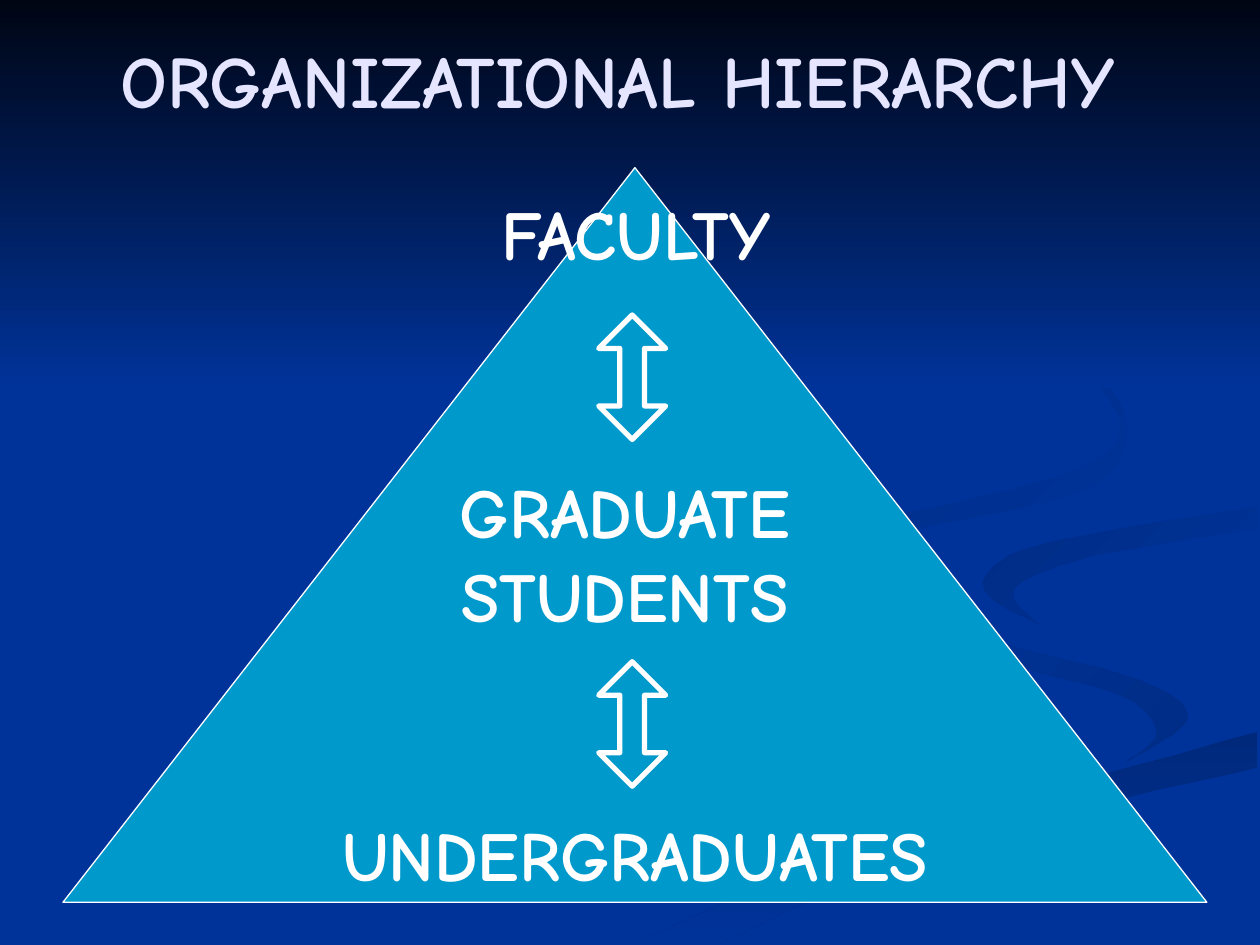
from dataclasses import dataclass

from pptx import Presentation
from pptx.dml.color import RGBColor
from pptx.enum.shapes import MSO_SHAPE
from pptx.enum.text import MSO_ANCHOR, MSO_AUTO_SIZE, PP_ALIGN
from pptx.util import Cm, Pt

Point = tuple[float, float]


@dataclass(frozen=True)
class Theme:
    font: str = "Comic Neue"
    back: str = "003399"
    night: str = "000514"
    shade: str = "002C85"
    deep: str = "00297C"
    cyan: str = "0099CC"
    white: str = "FFFFFF"
    lilac: str = "E5E5FF"
    head: int = 42
    body: int = 40


@dataclass(frozen=True)
class Ribbon:
    """Two curved edges in hundredths of an inch, and a gradient."""
    there: list[Point]
    back: list[Point]
    first: str
    last: str
    angle: int  # counter-clockwise


@dataclass(frozen=True)
class Level:
    text: str
    left: float
    top: float
    width: float
    height: float
    wrap: bool = False


THEME = Theme()
UNIT = Cm(2.54) / 100
STEPS = 6  # line segments between two curve points

RIBBONS = [
    Ribbon([(724, 464), (745, 490), (811, 515), (905, 540), (943, 570),
            (894, 605)],
           [(894, 605), (918, 581), (892, 553), (815, 530), (739, 494),
            (724, 464)],
           THEME.shade, THEME.back, 135),
    Ribbon([(503, 749), (630, 693), (764, 647), (998, 581)],
           [(998, 609), (821, 651), (695, 692), (571, 749)],
           THEME.deep, THEME.back, 270),
    Ribbon([(826, 496), (791, 478), (781, 460), (810, 437), (898, 418),
            (998, 402)],
           [(998, 420), (878, 439), (816, 459), (805, 476), (826, 496)],
           THEME.back, THEME.shade, 135),
    Ribbon([(762, 233), (864, 291), (894, 344), (855, 391), (683, 430),
            (594, 470), (622, 500)],
           [(622, 500), (577, 462), (625, 426), (763, 398), (861, 370),
            (889, 335), (846, 279), (762, 233)],
           THEME.back, THEME.shade, 135),
]

LEVELS = [
    Level("FACULTY", 9.73, 3.71, 6.17, 1.96),
    Level("GRADUATE STUDENTS", 8.05, 9.32, 9.09, 3.66, True),
    Level("UNDERGRADUATES", 6.58, 16.23, 12.45, 1.96),
]
ARROW_TOPS = (6.35, 13.34)


def rgb(code: str) -> RGBColor:
    return RGBColor.from_string(code)


def curve(knots: list[Point]) -> list[Point]:
    """Catmull-Rom curve through the knots."""
    ends = [knots[0], *knots, knots[-1]]
    line = [knots[0]]
    for a, b, c, d in zip(ends, ends[1:], ends[2:], ends[3:]):
        for step in range(1, STEPS + 1):
            t = step / STEPS
            line.append(tuple(
                q + t * (r - p) / 2
                + t ** 2 * (2 * p - 5 * q + 4 * r - s) / 2
                + t ** 3 * (3 * q - p - 3 * r + s) / 2
                for p, q, r, s in zip(a, b, c, d)))
    return line


def shade(shape, first: str, last: str, angle: int) -> None:
    shape.shadow.inherit = False
    shape.line.fill.background()
    shape.fill.gradient()
    shape.fill.gradient_angle = angle
    for stop, code in zip(shape.fill.gradient_stops, (first, last)):
        stop.color.rgb = rgb(code)


def draw_ribbon(shapes, ribbon: Ribbon) -> None:
    start, *rest = curve(ribbon.there) + curve(ribbon.back)
    maker = shapes.build_freeform(*start, scale=UNIT)
    maker.add_line_segments(rest, close=True)
    shade(maker.convert_to_shape(), ribbon.first, ribbon.last, ribbon.angle)


def draw_solid(shapes, kind, left: float, top: float, width: float,
               height: float, weight: float):
    shape = shapes.add_shape(kind, Cm(left), Cm(top), Cm(width), Cm(height))
    shape.shadow.inherit = False
    shape.fill.solid()
    shape.fill.fore_color.rgb = rgb(THEME.cyan)
    shape.line.color.rgb = rgb(THEME.white)
    shape.line.width = Pt(weight)
    return shape


def write(frame, text: str, size: int, color: str) -> None:
    para = frame.paragraphs[0]
    para.alignment = PP_ALIGN.CENTER
    run = para.add_run()
    run.text = text
    run.font.name = THEME.font
    run.font.size = Pt(size)
    run.font.bold = True
    run.font.color.rgb = rgb(color)


def draw_level(shapes, level: Level) -> None:
    box = shapes.add_textbox(Cm(level.left), Cm(level.top),
                             Cm(level.width), Cm(level.height))
    frame = box.text_frame
    frame.word_wrap = level.wrap
    frame.auto_size = MSO_AUTO_SIZE.SHAPE_TO_FIT_TEXT
    write(frame, level.text, THEME.body, THEME.white)


def main() -> None:
    deck = Presentation()
    deck.slide_width, deck.slide_height = Cm(25.4), Cm(19.05)
    slide = deck.slides.add_slide(deck.slide_layouts[5])
    shapes = slide.shapes

    # Background with ribbons and a night sky
    slide.background.fill.solid()
    slide.background.fill.fore_color.rgb = rgb(THEME.back)
    for ribbon in RIBBONS:
        draw_ribbon(shapes, ribbon)
    sky = shapes.add_shape(MSO_SHAPE.RECTANGLE, 0, 0,
                           deck.slide_width, Cm(7.82))
    shade(sky, THEME.night, THEME.back, 270)

    # Title, raised above the background
    title = shapes.title
    shapes._spTree.append(title._element)
    title.left, title.top = Cm(0), Cm(0)
    title.width, title.height = deck.slide_width, Cm(3.18)
    frame = title.text_frame
    frame.word_wrap = True
    frame.auto_size = MSO_AUTO_SIZE.NONE
    frame.vertical_anchor = MSO_ANCHOR.MIDDLE
    write(frame, "ORGANIZATIONAL HIERARCHY ", THEME.head, THEME.lilac)

    # Pyramid with its levels and the arrows between them
    draw_solid(shapes, MSO_SHAPE.ISOSCELES_TRIANGLE,
               1.27, 3.38, 23.06, 14.81, 0.75)
    for top in ARROW_TOPS:
        arrow = draw_solid(shapes, MSO_SHAPE.UP_DOWN_ARROW,
                           12.07, top, 1.35, 2.51, 3)
        arrow.adjustments[1] = 0.37
    for level in LEVELS:
        draw_level(shapes, level)

    deck.save("out.pptx")


if __name__ == "__main__":
    main()
